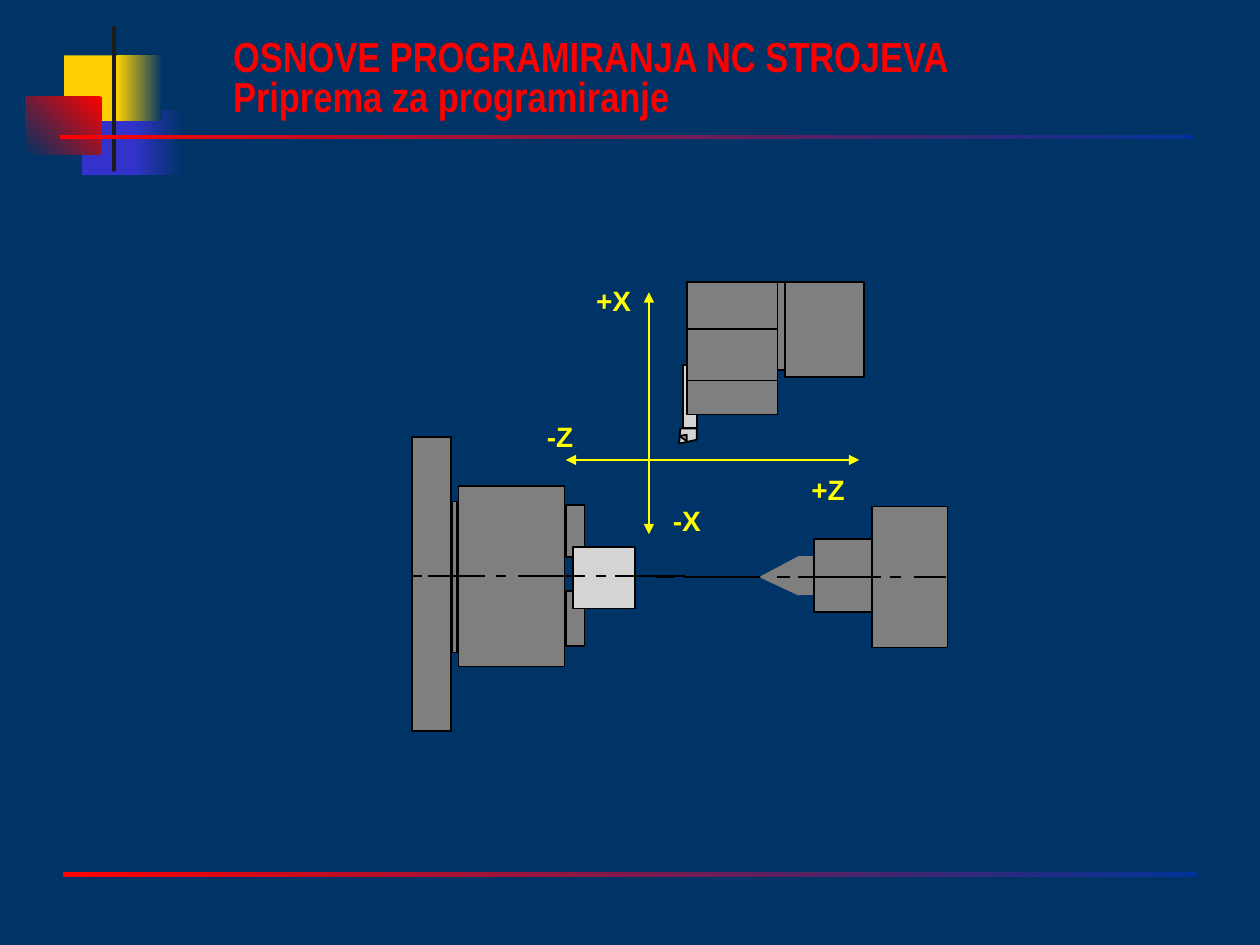
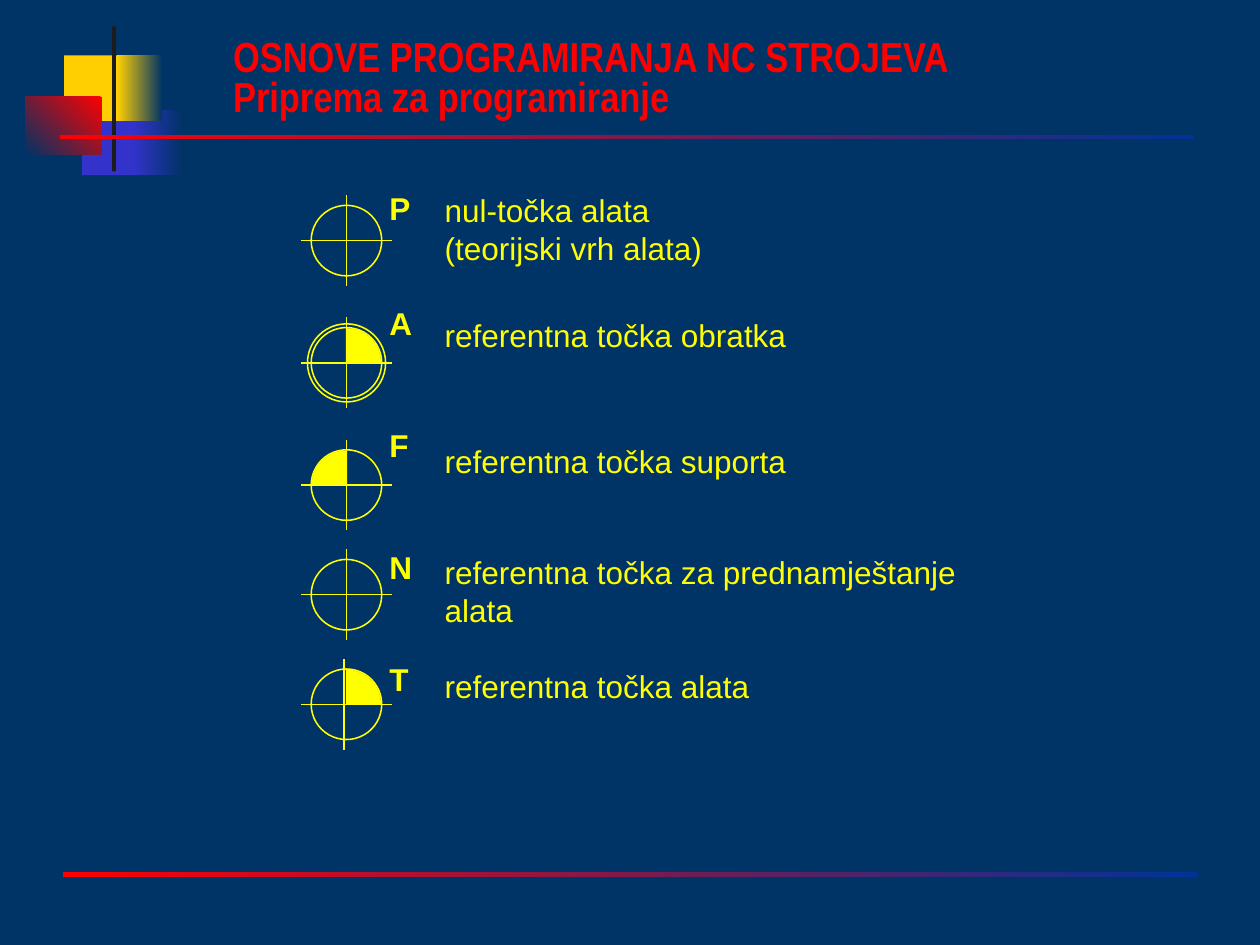
"""Builds two slides on NC lathe axes and reference points."""
from math import cos, radians, sin

from lxml import etree
from pptx import Presentation
from pptx.dml.color import RGBColor
from pptx.enum.shapes import MSO_CONNECTOR, MSO_SHAPE
from pptx.enum.text import MSO_ANCHOR, MSO_AUTO_SIZE, PP_ALIGN
from pptx.oxml.ns import qn
from pptx.util import Inches, Pt

COLORS = {
    "navy": "003366", "blue": "003399", "violet": "3333CC", "gold": "FFCF01",
    "red": "FF0000", "dark": "1C1C1C", "gray": "7F7F7F", "light": "D4D4D4",
    "black": "000000", "yellow": "FFFF00",
}
TITLE = "OSNOVE PROGRAMIRANJA NC STROJEVA\vPriprema za programiranje"
TITLE_BOX = (1.75, 0, 8.25, 1.01)

DECOR = [
    ((0.65, 0.87, 0.46, 0.52), "violet"),
    ((1.05, 0.87, 0.4, 0.52), ("navy", "violet", 180)),
    ((0.51, 0.44, 0.48, 0.52), "gold"),
    ((0.93, 0.44, 0.36, 0.52), ("navy", "gold", 180)),
    ((0.89, 0.21, 0.03, 1.15), "dark"),
    ((0.2, 0.77, 0.61, 0.46), ("red", "navy", 225)),
    ((0.5, 6.92, 9, 0.04), ("blue", "red", 180)),
    ((0.48, 1.07, 9, 0.03), ("blue", "red", 180)),
]

TOOL_POST = [
    ("rect", (6.23, 2.24, 0.63, 0.75), "gray"),
    ("rect", (5.42, 2.9, 0.11, 0.5), "light"),
    ("outline", [(5.42, 3.4), (5.4, 3.4), (5.39, 3.52), (5.53, 3.49), (5.53, 3.4)], "light"),
    ("outline", [(5.39, 3.46), (5.45, 3.45), (5.45, 3.5)], "gray"),
    ("rect", (5.45, 2.24, 0.72, 1.05), "gray"),
    ("line", (5.45, 3.02, 6.17, 3.02)),
    ("line", (5.45, 2.61, 6.17, 2.61)),
    ("rect", (6.17, 2.24, 0.06, 0.7), "gray"),
]
TAIL_Y, SPINDLE_Y = 4.58, 4.57


def dashes(y, *spans):
    return [("line", (x1, y, x2, y)) for x1, x2 in spans]


LATHE = [
    *dashes(TAIL_Y, (5.21, 5.35), (5.43, 6.11)),
    ("outline", [(6.04, 4.58), (6.34, 4.42), (6.34, 4.72)], "gray", "gray"),
    ("rect", (6.34, 4.42, 0.12, 0.3), "gray", "gray"),
    ("rect", (6.46, 4.28, 0.46, 0.58), "gray"),
    ("rect", (6.92, 4.02, 0.6, 1.12), "gray"),
    *dashes(TAIL_Y, (6.33, 6.99), (6.17, 6.27), (7.06, 7.15), (7.25, 7.51)),
    ("rect", (3.64, 3.86, 0.84, 1.43), "gray"),
    ("rect", (4.49, 4.01, 0.15, 0.41), "gray"),
    ("rect", (4.49, 4.69, 0.15, 0.44), "gray"),
    ("rect", (3.27, 3.47, 0.31, 2.33), "gray"),
    ("rect", (4.55, 4.34, 0.49, 0.49), "light"),
    ("rect", (3.59, 3.98, 0.04, 1.2), "gray"),
    *dashes(SPINDLE_Y, (3.27, 3.35), (3.4, 3.85), (3.94, 4.02), (4.11, 4.64),
            (4.73, 4.81), (4.88, 5.44)),
]

AXES = [((4.49, 3.65, 6.82, 3.65), 1.5), ((5.15, 2.32, 5.15, 4.24), 0.75)]
AXIS_LABELS = [
    ("-X", 5.32, 3.99, PP_ALIGN.LEFT), ("+X", 4.67, 2.24, PP_ALIGN.CENTER),
    ("+Z", 6.42, 3.74, PP_ALIGN.LEFT), ("-Z", 4.32, 3.32, PP_ALIGN.LEFT),
]

SYMBOL_X, LETTER_X, MEANING_X = 2.75, 3.09, 3.53
RADIUS, RING_RADIUS, CROSS, SECTOR_RADIUS = 0.28, 0.31, 0.36, 0.27
POINTS = [
    {"letter": "P", "y": 1.91, "letter_y": 1.5, "text_y": 1.52,
     "text": "nul-točka alata\v(teorijski vrh alata)"},
    {"letter": "A", "y": 2.88, "letter_y": 2.41, "text_y": 2.51,
     "text": "referentna točka obratka", "sector": 0, "ring": True},
    {"letter": "F", "y": 3.85, "letter_y": 3.38, "text_y": 3.51,
     "text": "referentna točka suporta", "sector": 90},
    {"letter": "N", "y": 4.72, "letter_y": 4.35, "text_y": 4.39,
     "text": "referentna točka za prednamještanje\valata"},
    {"letter": "T", "y": 5.59, "letter_y": 5.24, "text_y": 5.29,
     "text": "referentna točka alata", "sector": 0, "cross_x": 2.73},
]


def rgb(name):
    return RGBColor.from_string(COLORS[name])


def paint(sp, fill=None, line=None, width=1):
    sp.shadow.inherit = False
    if fill is None:
        sp.fill.background()
    elif isinstance(fill, tuple):
        *stops, angle = fill
        sp.fill.gradient()
        sp.fill.gradient_angle = angle
        for stop, name in zip(sp.fill.gradient_stops, stops):
            stop.color.rgb = rgb(name)
    else:
        sp.fill.solid()
        sp.fill.fore_color.rgb = rgb(fill)
    if line is None:
        sp.line.fill.background()
    else:
        sp.line.color.rgb = rgb(line)
        sp.line.width = Pt(width)


def add_preset(shapes, kind, box, *style):
    sp = shapes.add_shape(kind, *map(Inches, box))
    paint(sp, *style)
    return sp


def add_outline(shapes, points, *style):
    start, *rest = [(Inches(x), Inches(y)) for x, y in points]
    builder = shapes.build_freeform(*start, scale=1.0)
    builder.add_line_segments(rest, close=True)
    paint(builder.convert_to_shape(), *style)


def add_line(shapes, ends, color="black", width=1, arrows=False):
    cx = shapes.add_connector(MSO_CONNECTOR.STRAIGHT, *map(Inches, ends))
    cx.line.color.rgb = rgb(color)
    cx.line.width = Pt(width)
    sppr = cx.element.spPr
    if arrows:
        for tag in ("a:headEnd", "a:tailEnd"):
            etree.SubElement(sppr.find(qn("a:ln")), qn(tag), type="triangle")
    etree.SubElement(sppr, qn("a:effectLst"))


def format_text(tf, font, size, color, bold):
    for p in tf.paragraphs:
        for r in p.runs:
            r.font.name, r.font.size, r.font.bold = font, Pt(size), bold
            r.font.color.rgb = rgb(color)


def add_label(shapes, text, box, size, bold=True, wrap=False, inset=(0, 0),
              align=PP_ALIGN.LEFT):
    tf = shapes.add_textbox(*map(Inches, box)).text_frame
    tf.word_wrap = wrap
    tf.margin_left = tf.margin_right = Inches(inset[0])
    tf.margin_top = tf.margin_bottom = Inches(inset[1])
    tf.text = text
    tf.paragraphs[0].alignment = align
    format_text(tf, "Arial", size, "yellow", bold)


def add_parts(shapes, parts):
    for kind, geometry, *colors in parts:
        if kind == "line":
            add_line(shapes, geometry)
            continue
        fill, line = (colors + ["black"])[:2]
        if kind == "rect":
            add_preset(shapes, MSO_SHAPE.RECTANGLE, geometry, fill, line)
        else:
            add_outline(shapes, geometry, fill, line)


def add_circle(shapes, y, radius):
    box = (SYMBOL_X - radius, y - radius, 2 * radius, 2 * radius)
    add_preset(shapes, MSO_SHAPE.OVAL, box, None, "yellow", 0.88)


def add_symbol(shapes, point):
    y, x = point["y"], point.get("cross_x", SYMBOL_X)
    add_circle(shapes, y, RADIUS)
    if point.get("ring"):
        add_circle(shapes, y, RING_RADIUS)
    add_line(shapes, (x, y - CROSS, x, y + CROSS), "yellow", 0.88)
    add_line(shapes, (SYMBOL_X - CROSS, y, SYMBOL_X + CROSS, y), "yellow", 0.88)
    if "sector" in point:
        angles = [radians(point["sector"] + step) for step in range(0, 91, 10)]
        arc = [(SYMBOL_X + SECTOR_RADIUS * cos(a), y - SECTOR_RADIUS * sin(a))
               for a in angles]
        add_outline(shapes, [(SYMBOL_X, y), *arc], "yellow", "yellow", 0.75)
    add_label(shapes, point["letter"], (LETTER_X, point["letter_y"], 0.18, 0.3), 18)


def decorate(layout, s):
    for number, (box, fill) in enumerate(DECOR, 101):
        sp = add_preset(s.shapes, MSO_SHAPE.RECTANGLE, box, fill)
        sp.element.nvSpPr.cNvPr.set("id", str(number))
        layout.shapes.element.append(sp.element)


def add_slide(prs, layout):
    s = prs.slides.add_slide(layout)
    title = s.shapes.title
    title.left, title.top, title.width, title.height = map(Inches, TITLE_BOX)
    tf = title.text_frame
    tf.text = TITLE
    tf.auto_size = MSO_AUTO_SIZE.NONE
    tf.vertical_anchor = MSO_ANCHOR.BOTTOM
    tf.paragraphs[0].alignment = PP_ALIGN.LEFT
    tf.paragraphs[0].line_spacing = 0.8
    format_text(tf, "Arial Narrow", 24, "red", True)
    return s


def build_axes(s):
    for parts in (TOOL_POST, LATHE):
        add_parts(s.shapes.add_group_shape().shapes, parts)
    for ends, width in AXES:
        add_line(s.shapes, ends, "yellow", width, arrows=True)
    for text, x, y, align in AXIS_LABELS:
        add_label(s.shapes, text, (x, y, 0.4, 0.33), 16, wrap=True,
                  inset=(0.02, 0.01), align=align)


def build_points(s):
    for point in POINTS:
        add_symbol(s.shapes.add_group_shape().shapes, point)
        lines = point["text"].count("\v") + 1
        box = (MEANING_X, point["text_y"], 4.06, 0.3 * lines)
        add_label(s.shapes, point["text"], box, 18, bold=False)


def main():
    prs = Presentation()
    prs.slide_width, prs.slide_height = Inches(10), Inches(7.5)
    fill = prs.slide_master.background.fill
    fill.solid()
    fill.fore_color.rgb = rgb("navy")
    layout = prs.slide_layouts[5]
    axes = add_slide(prs, layout)
    decorate(layout, axes)
    build_axes(axes)
    build_points(add_slide(prs, layout))
    prs.save("out.pptx")


if __name__ == "__main__":
    main()
